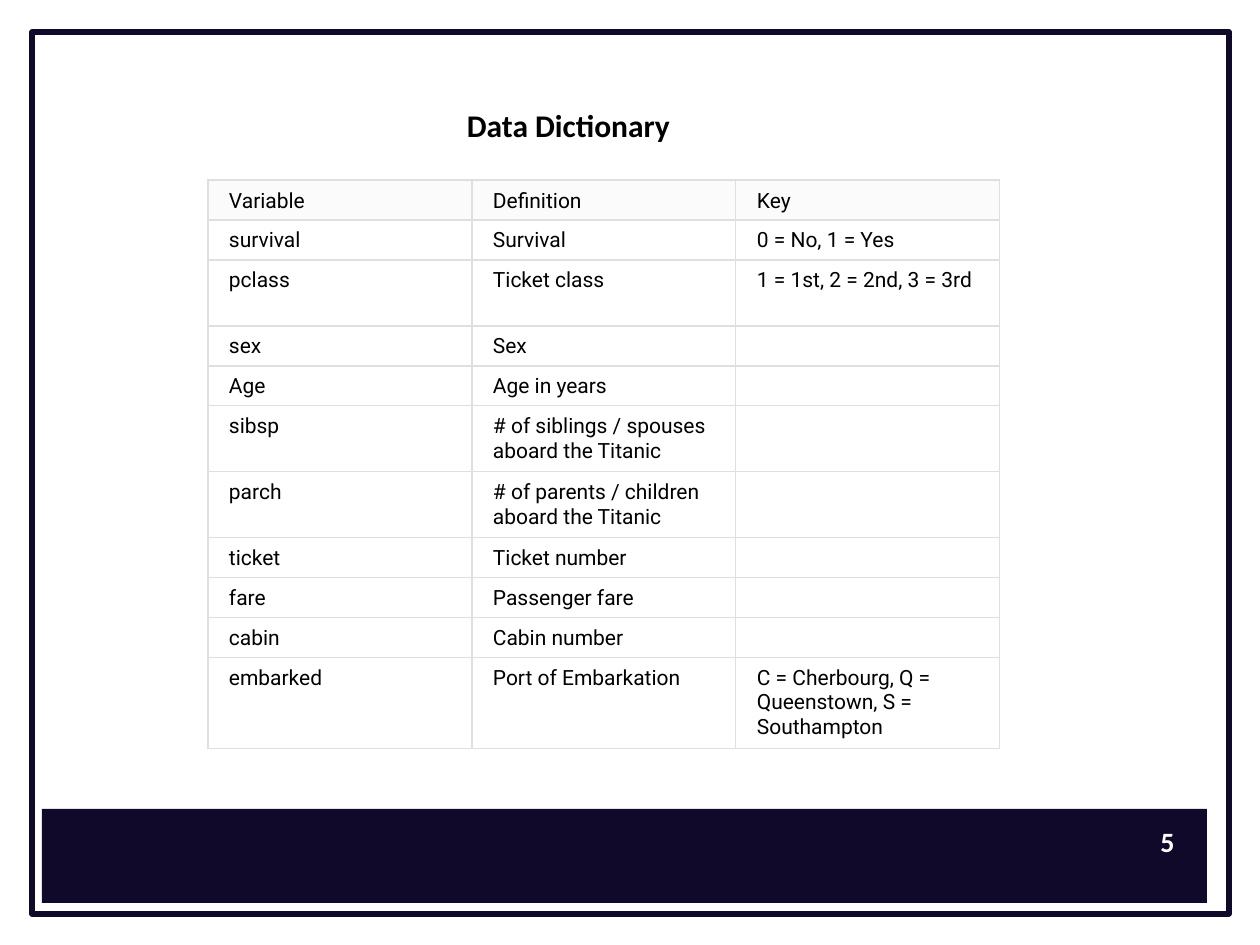
from collections import namedtuple

from lxml.etree import SubElement
from pptx import Presentation
from pptx.dml.color import RGBColor as RGB
from pptx.enum.shapes import MSO_SHAPE as SHAPE
from pptx.enum.text import MSO_ANCHOR as ANCHOR, MSO_AUTO_SIZE as AUTOSIZE, PP_ALIGN as ALIGN
from pptx.oxml.ns import qn
from pptx.util import Pt

PX = 914400 // 126  # EMU per px

Theme = namedtuple("Theme", "navy white black header border heading body title number cell")
theme = Theme(
    navy=RGB.from_string("11092A"), white=RGB.from_string("FFFFFF"),
    black=RGB.from_string("000000"), header=RGB.from_string("FBFBFB"),
    border="DEDFE0", heading="Calibri", body="Roboto",
    title=Pt(18), number=Pt(16), cell=Pt(12),
)


def box(*px):
    return [n * PX for n in px]


def style(p, font, size, color, bold=False):
    for r in p.runs:
        r.font.name, r.font.size, r.font.bold = font, size, bold
        r.font.color.rgb = color


prs = Presentation()
prs.slide_width, prs.slide_height = box(1260, 945)
s = prs.slides.add_slide(prs.slide_layouts[5])

# Page frame
frame = s.shapes.add_shape(SHAPE.RECTANGLE, *box(32, 32, 1197, 882))
frame.shadow.inherit = False
frame.fill.background()
frame.line.color.rgb = theme.navy
frame.line.width = Pt(3)

# Footer band
band = s.shapes.add_shape(SHAPE.RECTANGLE, *box(42, 809, 1165, 94))
band.shadow.inherit = False
band.fill.solid()
band.fill.fore_color.rgb = theme.navy
band.line.fill.background()

# Page number
tf = s.shapes.add_textbox(*box(914, 778, 273, 126)).text_frame
tf.word_wrap = True
tf.vertical_anchor = ANCHOR.MIDDLE
p = tf.paragraphs[0]
p.text = "5"
p.alignment = ALIGN.RIGHT
style(p, theme.heading, theme.number, theme.white, bold=True)

# Title
title = s.shapes.title
title.left, title.top, title.width, title.height = box(272, 100, 593, 50)
tf = title.text_frame
tf.auto_size = AUTOSIZE.NONE
tf.vertical_anchor = ANCHOR.TOP
p = tf.paragraphs[0]
p.text = "Data Dictionary"
p.alignment = ALIGN.CENTER
style(p, theme.heading, theme.title, theme.black, bold=True)

# Data dictionary: row height in px for one, two or three lines of text
LINES = {1: 40, 2: 66, 3: 91}
rows = [
    (1, "Variable", "Definition", "Key"),
    (1, "survival", "Survival", "0 = No, 1 = Yes"),
    (2, "pclass", "Ticket class", "1 = 1st, 2 = 2nd, 3 = 3rd"),
    (1, "sex", "Sex", ""),
    (1, "Age", "Age in years", ""),
    (2, "sibsp", "# of siblings / spouses aboard the Titanic", ""),
    (2, "parch", "# of parents / children aboard the Titanic", ""),
    (1, "ticket", "Ticket number", ""),
    (1, "fare", "Passenger fare", ""),
    (1, "cabin", "Cabin number", ""),
    (3, "embarked", "Port of Embarkation", "C = Cherbourg, Q = Queenstown, S = Southampton"),
]
height = sum(LINES[row[0]] for row in rows)
table = s.shapes.add_table(len(rows), 3, *box(208, 180, 792, height)).table

for i, (lines, *texts) in enumerate(rows):
    table.rows[i].height = LINES[lines] * PX
    for j, text in enumerate(texts):
        cell = table.cell(i, j)
        cell.margin_left, cell.margin_top, cell.margin_right, cell.margin_bottom = box(21, 8, 21, 6)
        cell.vertical_anchor = ANCHOR.TOP if i else ANCHOR.MIDDLE
        p = cell.text_frame.paragraphs[0]
        if text:
            p.text = text
            style(p, theme.body, theme.cell, theme.black)
        else:  # keeps empty cells from stretching the row
            SubElement(p._p, qn("a:endParaRPr"), sz=str(int(theme.cell.pt * 100)))

        # Borders come before the fill in the cell properties
        tcPr = cell._tc.get_or_add_tcPr()
        for side in ("a:lnL", "a:lnR", "a:lnT", "a:lnB"):
            ln = SubElement(tcPr, qn(side), w=str(Pt(0.75)))
            fill = SubElement(ln, qn("a:solidFill"))
            SubElement(fill, qn("a:srgbClr"), val=theme.border)
        cell.fill.solid()
        cell.fill.fore_color.rgb = theme.white if i else theme.header

prs.save("out.pptx")
